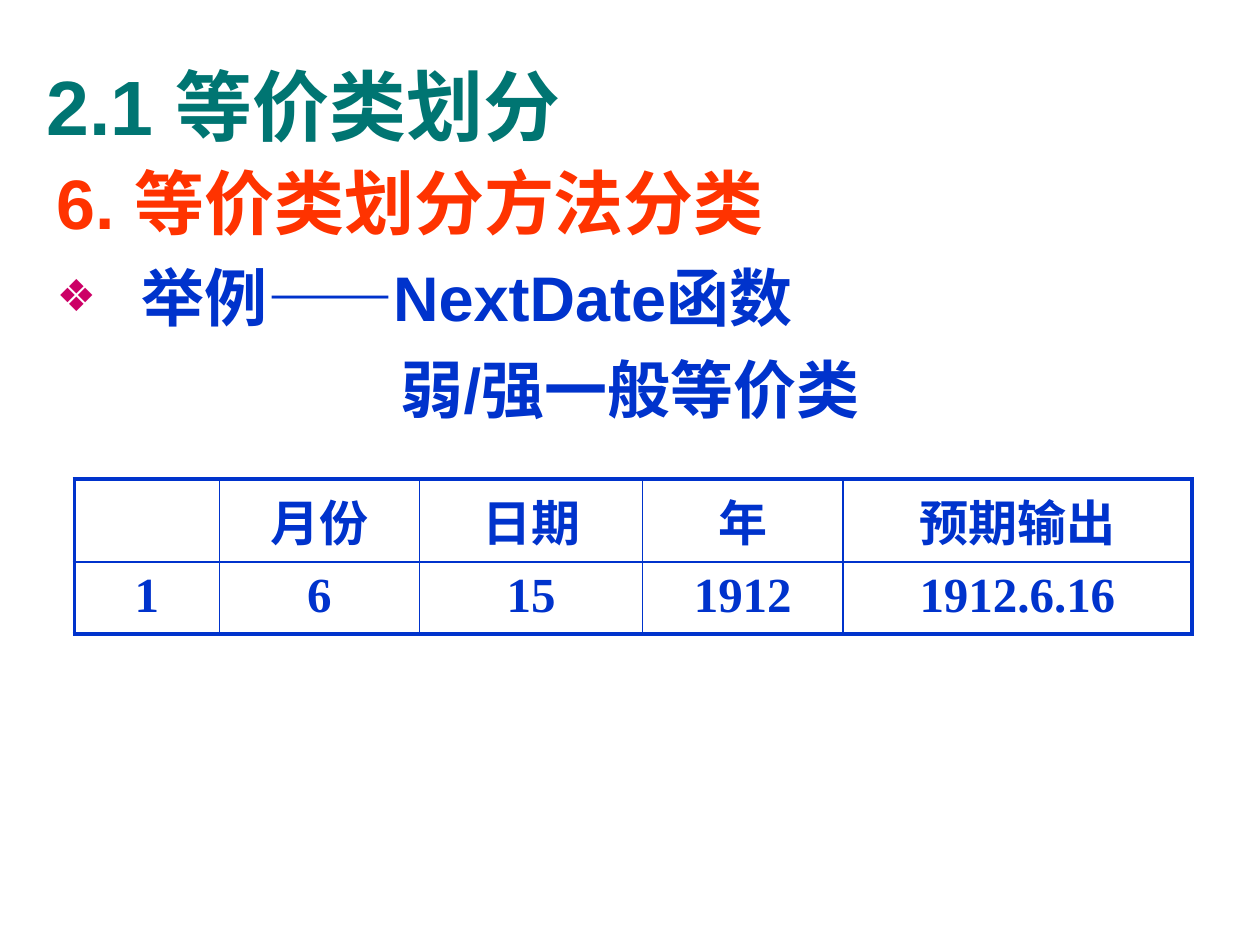
from dataclasses import dataclass
from typing import Any

from lxml import etree
from pptx import Presentation
from pptx import util as u
from pptx.dml import color as c
from pptx.enum import text
from pptx.oxml import ns

COLORS = {"title": "007572", "heading": "FF3300", "body": "0033CC", "bullet": "CC0066"}
SANS, SERIF = "Arial", "Times New Roman"
COLUMNS, ROWS = 100, 75
HANG = u.Inches(0.67)


@dataclass
class SlideBuilder:
    """Style and current slide; positions are columns and rows of a 100 by 75 grid."""

    presentation: Any
    slide: Any

    def box(self, left, top, width, height):
        across = self.presentation.slide_width / COLUMNS
        down = self.presentation.slide_height / ROWS
        return [round(n) for n in (left * across, top * down, width * across, height * down)]

    def place(self, shape, area, anchor):
        shape.left, shape.top, shape.width, shape.height = self.box(*area)
        frame = shape.text_frame
        frame.word_wrap = True
        frame.auto_size = text.MSO_AUTO_SIZE.NONE
        frame.vertical_anchor = anchor
        return frame

    def add_text(self, paragraph, runs, size, color, align=text.PP_ALIGN.LEFT):
        paragraph.alignment = align
        paragraph.font.size = u.Pt(size)
        paragraph.font.bold = True
        paragraph.font.color.rgb = c.RGBColor.from_string(COLORS[color])
        for content, font in runs:
            run = paragraph.add_run()
            run.text = content
            run.font.name = font

    def title(self, area, content):
        frame = self.place(self.slide.shapes.title, area, text.MSO_ANCHOR.MIDDLE)
        self.add_text(frame.paragraphs[0], [(content, SANS)], 44, "title")

    def bullet(self, paragraph, mark):
        properties = paragraph._p.get_or_add_pPr()
        properties.set("marL", str(HANG))
        properties.set("indent", str(-HANG))
        if not mark:
            etree.SubElement(properties, ns.qn("a:buNone"))
            return
        tint = etree.SubElement(properties, ns.qn("a:buClr"))
        etree.SubElement(tint, ns.qn("a:srgbClr"), val=COLORS["bullet"])
        etree.SubElement(properties, ns.qn("a:buSzPct"), val="70000")
        etree.SubElement(properties, ns.qn("a:buChar"), char=mark)

    def body(self, area, items):
        frame = self.place(self.slide.placeholders[1], area, text.MSO_ANCHOR.TOP)
        for index, (mark, runs, size, color) in enumerate(items):
            paragraph = frame.add_paragraph() if index else frame.paragraphs[0]
            self.bullet(paragraph, mark)
            paragraph.line_spacing = 1.1
            paragraph.space_before = u.Pt(2 if index else 0)
            paragraph.space_after = u.Pt(2)
            self.add_text(paragraph, runs, size, color)

    def caption(self, area, content):
        shape = self.slide.shapes.add_textbox(*self.box(*area))
        frame = self.place(shape, area, text.MSO_ANCHOR.MIDDLE)
        self.add_text(frame.paragraphs[0], [(content, SANS)], 36, "body",
                      text.PP_ALIGN.CENTER)

    def borders(self, cell, outer):
        properties = cell._tc.get_or_add_tcPr()
        for index, (side, thick) in enumerate(outer.items()):
            line = etree.Element(ns.qn(f"a:ln{side}"), w=str(u.Pt(2.25 if thick else 1)))
            fill = etree.SubElement(line, ns.qn("a:solidFill"))
            etree.SubElement(fill, ns.qn("a:srgbClr"), val=COLORS["body"])
            properties.insert(index, line)

    def table(self, left, top, widths, height, rows):
        area = self.box(left, top, sum(widths), height * len(rows))
        table = self.slide.shapes.add_table(len(rows), len(widths), *area).table
        table.first_row = table.horz_banding = False
        for column, width in zip(table.columns, widths):
            column.width = self.box(0, 0, width, 0)[2]
        last_row, last_column = len(rows) - 1, len(widths) - 1
        for i, row in enumerate(rows):
            for j, content in enumerate(row):
                cell = table.cell(i, j)
                cell.fill.background()
                self.borders(cell, {"L": j == 0, "R": j == last_column,
                                    "T": i == 0, "B": i == last_row})
                runs = [(content, SERIF)] if content else []
                self.add_text(cell.text_frame.paragraphs[0], runs, 28, "body",
                              text.PP_ALIGN.CENTER)


def main():
    presentation = Presentation()
    presentation.slide_width, presentation.slide_height = u.Inches(10), u.Inches(7.5)
    slide = presentation.slides.add_slide(presentation.slide_layouts[1])
    builder = SlideBuilder(presentation, slide)
    builder.title((2.7, 2.1, 93.4, 12.5), "2.1 等价类划分")
    builder.body((3.5, 11.5, 96.5, 61.4), [
        (None, [("6. 等价类划分方法分类", SANS)], 40, "heading"),
        ("❖", [("举例", SANS), ("——", SERIF), ("NextDate函数", SANS)], 36, "body"),
    ])
    builder.caption((5, 27.3, 90, 7.1), "弱/强一般等价类")
    builder.table(5.9, 38, [11.5, 15.9, 17.7, 15.9, 27.7], 5.7, [
        ["", "月份", "日期", "年", "预期输出"],
        ["1", "6", "15", "1912", "1912.6.16"],
    ])
    presentation.save("out.pptx")


if __name__ == "__main__":
    main()
